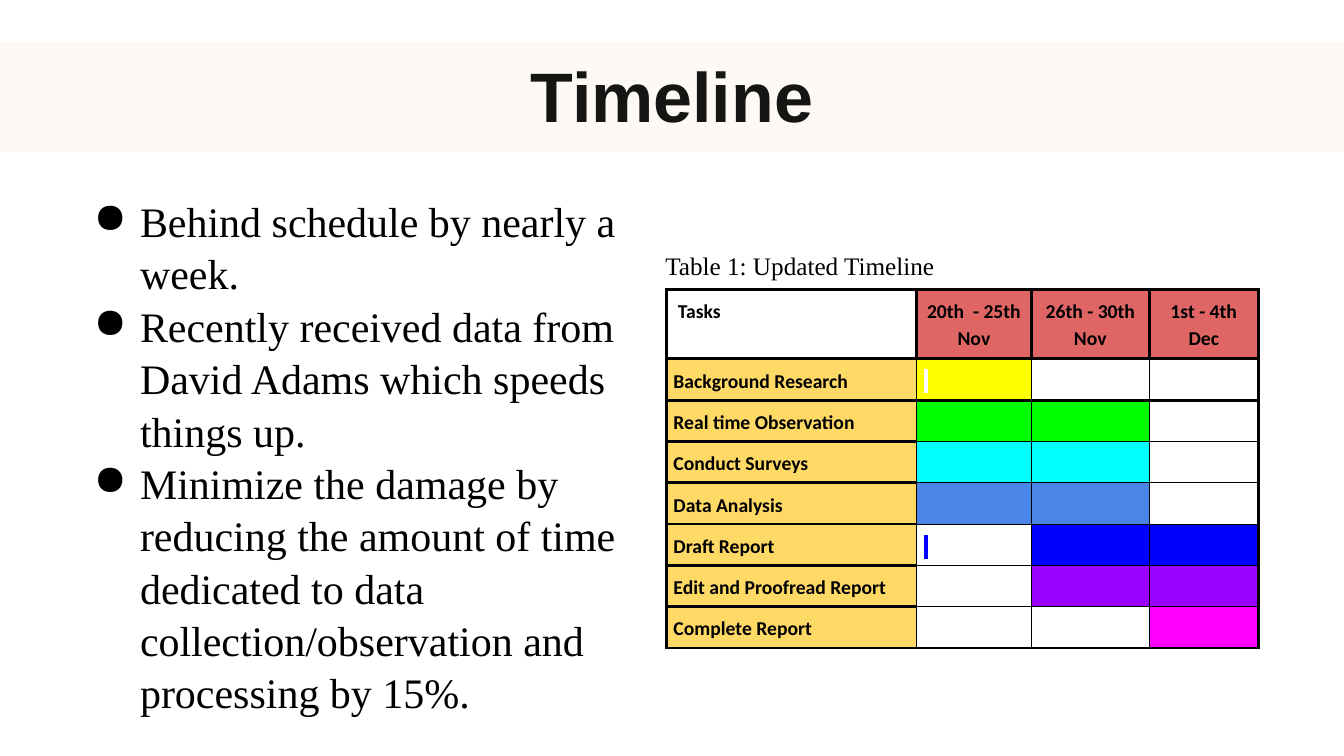
from pptx import Presentation
from pptx.dml.color import RGBColor
from pptx.enum.shapes import MSO_SHAPE
from pptx.enum.text import MSO_ANCHOR, PP_ALIGN
from pptx.oxml import parse_xml
from pptx.oxml.ns import nsdecls
from pptx.util import Inches, Pt

# Content
TITLE = "Timeline"
POINTS = [
    "Behind schedule by nearly a week.",
    "Recently received data from David Adams which speeds things up.",
    "Minimize the damage by reducing the amount of time dedicated to data "
    "collection/observation and processing by 15%.",
]
CAPTION = "Table 1: Updated Timeline"
HEADS = [" Tasks", "20th  - 25th Nov", "26th - 30th Nov", "1st - 4th Dec"]
# Task, bar colour, columns the bar covers
TASKS = [
    ("Background Research", "FFFF00", (1,)),
    ("Real time Observation", "00FF00", (1, 2)),
    ("Conduct Surveys", "00FFFF", (1, 2)),
    ("Data Analysis", "4A86E8", (1, 2)),
    ("Draft Report", "0000FF", (2, 3)),
    ("Edit and Proofread Report", "9900FF", (2, 3)),
    ("Complete Report", "FF00FF", (3,)),
]
# Marked spaces inside the grid: (row, column) to colour
MARKS = {(1, 1): "FFFFFF", (5, 1): "0000FF"}

THEME = {
    "band": "FDFAF5", "title": "151513", "ink": "000000", "paper": "FFFFFF",
    "head": "E06666", "task": "FFD966",
    "sans": "Arial", "serif": "Times New Roman", "grid": "Calibri",
    "title_pt": 50, "body_pt": 30, "note_pt": 18, "cell_pt": 14,
    "thick": 2.25, "thin": 0.75,
}
WIDTHS = [2.48, 1.14, 1.17, 1.08]
HEAD_H, ROW_H = 0.69, 0.41


def paint(fill, tone):
    fill.solid()
    fill.fore_color.rgb = RGBColor.from_string(tone)


def write(para, text, size, face, tone=THEME["ink"], bold=False, mark=None):
    run = para.add_run()
    run.text = text
    font = run.font
    font.size, font.bold = Pt(size), bold
    paint(font.fill, tone)
    if mark:
        run._r.get_or_add_rPr().append(parse_xml(
            f'<a:highlight {nsdecls("a")}><a:srgbClr val="{mark}"/></a:highlight>'))
    font.name = face


def add_box(slide, place, inset, anchor=MSO_ANCHOR.TOP):
    frame = slide.shapes.add_textbox(*map(Inches, place)).text_frame
    frame.word_wrap = True
    frame.vertical_anchor = anchor
    frame.margin_left = frame.margin_right = Inches(0.1)
    frame.margin_top = frame.margin_bottom = Inches(inset)
    return frame


def add_dot(para):
    props = para._p.get_or_add_pPr()
    props.set("marL", str(Inches(0.5)))
    props.set("indent", str(Inches(-0.46)))
    for body in (f'buClr {nsdecls("a")}><a:srgbClr val="{THEME["ink"]}"/></a:buClr',
                 f'buChar {nsdecls("a")} char="●"/'):
        props.append(parse_xml(f"<a:{body}>"))


def edge(cell, row, col):
    last_row, last_col = len(TASKS), len(HEADS) - 1
    heavy = {
        "L": row == 0 or col == 0,
        "R": row == 0 or col == last_col,
        "T": row <= 1 or col == 0,
        "B": row in (0, 1, last_row) or col == 0,
    }
    props = cell._tc.get_or_add_tcPr()
    for side, bold in heavy.items():
        width = Pt(THEME["thick" if bold else "thin"])
        props.append(parse_xml(
            f'<a:ln{side} {nsdecls("a")} w="{width}"><a:solidFill>'
            f'<a:srgbClr val="{THEME["ink"]}"/></a:solidFill></a:ln{side}>'))


def fill_cell(cell, row, col):
    text, mark = "", None
    if row == 0:
        text, tone = HEADS[col], THEME["head" if col else "paper"]
    else:
        task, bar, span = TASKS[row - 1]
        tone = bar if col in span else THEME["paper"]
        if col == 0:
            text, tone = task, THEME["task"]
        elif (row, col) in MARKS:
            text, mark = " ", MARKS[row, col]
    edge(cell, row, col)
    paint(cell.fill, tone)
    cell.margin_left = cell.margin_right = Inches(0.07)
    cell.margin_top = cell.margin_bottom = Inches(0.07 if text else 0.02)
    if text:
        para = cell.text_frame.paragraphs[0]
        para.line_spacing = 1.15
        if row == 0 and col:
            para.alignment = PP_ALIGN.CENTER
        write(para, text, THEME["cell_pt"], THEME["grid"], bold=True,
              mark=mark or tone)


def main():
    deck = Presentation()
    deck.slide_width, deck.slide_height = Inches(13.33), Inches(7.5)
    slide = deck.slides.add_slide(deck.slide_layouts[6])

    # Title band
    band = slide.shapes.add_shape(
        MSO_SHAPE.RECTANGLE, *map(Inches, (0, 0.42, 13.33, 1.09)))
    band.shadow.inherit = False
    paint(band.fill, THEME["band"])
    band.line.fill.background()
    frame = add_box(slide, (3.81, 0.46, 5.71, 0.94), 0.05, MSO_ANCHOR.BOTTOM)
    para = frame.paragraphs[0]
    para.alignment = PP_ALIGN.CENTER
    write(para, TITLE, THEME["title_pt"], THEME["sans"], THEME["title"], True)

    # Bullet points
    frame = add_box(slide, (0.79, 1.82, 5.71, 5.1), 0.1)
    for i, point in enumerate(POINTS):
        para = frame.add_paragraph() if i else frame.paragraphs[0]
        para.line_spacing = 1.04
        add_dot(para)
        write(para, point, THEME["body_pt"], THEME["serif"])

    # Timeline table
    count = len(TASKS) + 1
    table = slide.shapes.add_table(
        count, len(HEADS), Inches(6.61), Inches(2.87),
        Inches(sum(WIDTHS)), Inches(HEAD_H + ROW_H * len(TASKS))).table
    table.first_row = table.horz_banding = False
    for col, width in enumerate(WIDTHS):
        table.columns[col].width = Inches(width)
    for row in range(count):
        table.rows[row].height = Inches(ROW_H if row else HEAD_H)
        for col in range(len(HEADS)):
            fill_cell(table.cell(row, col), row, col)

    # Table caption
    frame = add_box(slide, (6.5, 2.38, 4.95, 0.36), 0.1)
    write(frame.paragraphs[0], CAPTION, THEME["note_pt"], THEME["serif"])

    deck.save("out.pptx")


if __name__ == "__main__":
    main()
